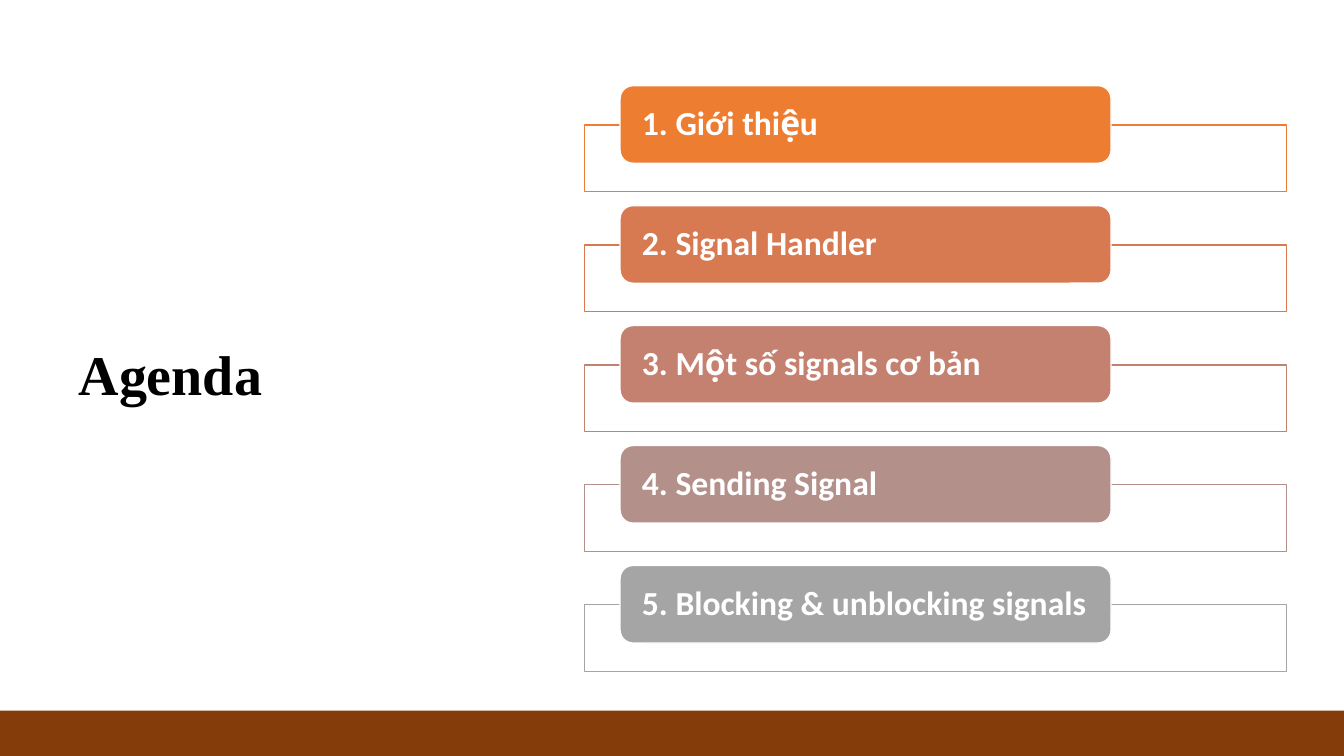
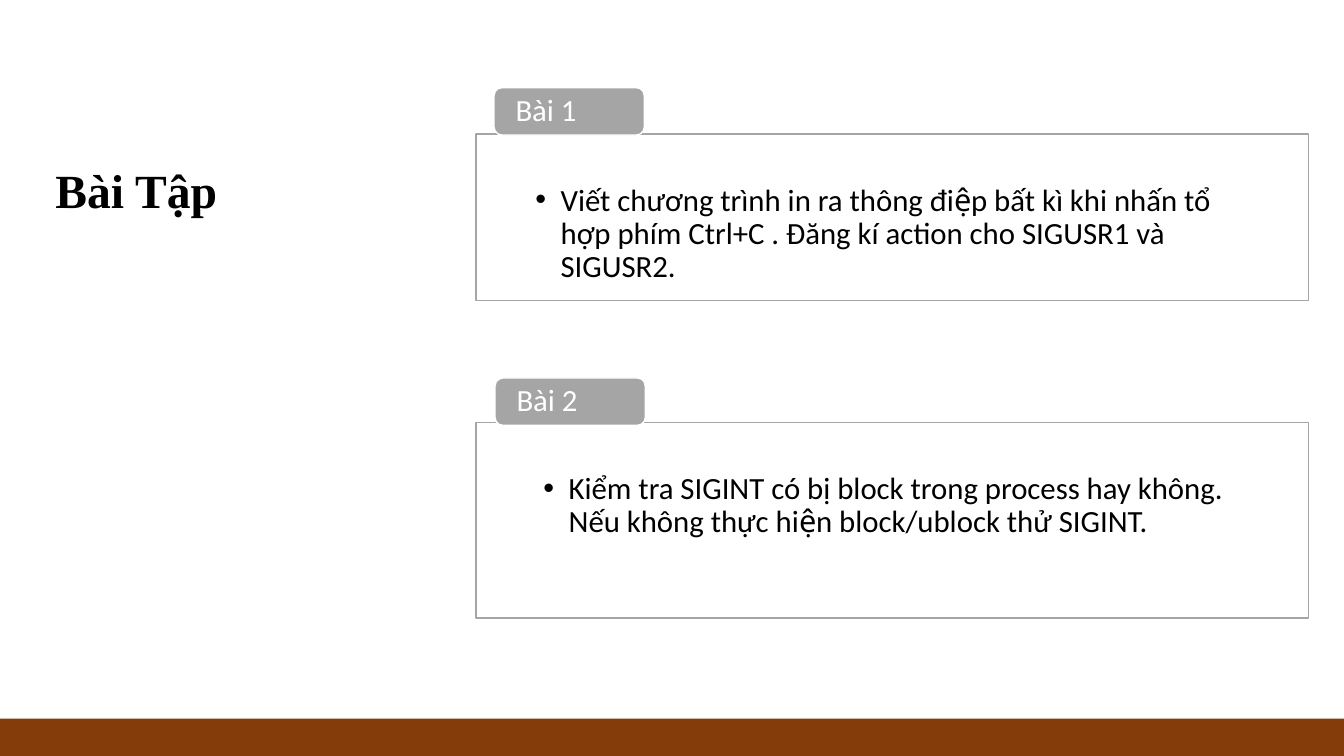
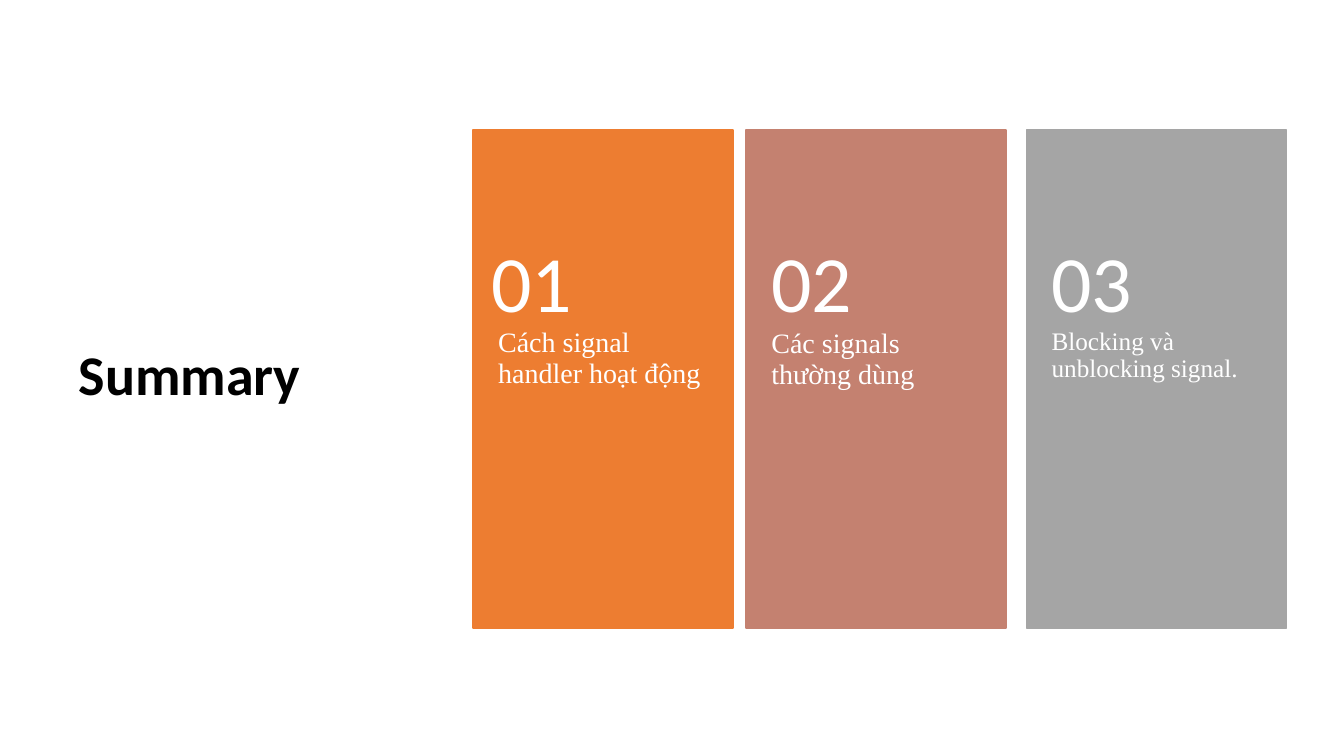
from lxml import etree
from pptx import Presentation
from pptx.dml.color import RGBColor
from pptx.enum.shapes import MSO_SHAPE
from pptx.enum.text import MSO_ANCHOR, MSO_AUTO_SIZE, PP_ALIGN
from pptx.oxml.ns import qn
from pptx.util import Inches, Pt

RECT, ROUND = MSO_SHAPE.RECTANGLE, MSO_SHAPE.ROUNDED_RECTANGLE
TOP, MIDDLE, BOTTOM = MSO_ANCHOR.TOP, MSO_ANCHOR.MIDDLE, MSO_ANCHOR.BOTTOM
LEFT, FIXED = PP_ALIGN.LEFT, MSO_AUTO_SIZE.NONE
TWO_PART, TITLE_ONLY = 3, 5

WHITE, BLACK = RGBColor(255, 255, 255), RGBColor(0, 0, 0)
BROWN = RGBColor(0x84, 0x3C, 0x0B)
ORANGE = RGBColor(0xED, 0x7D, 0x31)
CORAL = RGBColor(0xD8, 0x7A, 0x51)
ROSE = RGBColor(0xC4, 0x81, 0x70)
MAUVE = RGBColor(0xB4, 0x90, 0x8B)
GREY = RGBColor(0xA5, 0xA5, 0xA5)
SANS, SERIF = "Calibri", "Times New Roman"
WIDE, HIGH = 13.33, 7.5
SIDE = (0.68, 1.27, 3.94, 4.95)

# Vietnamese tones are stored as marks after their vowel.
TONES = [
    ("\u0301", "áấếíóốớ", "aâêioôơ"),
    ("\u0300", "àìùờ", "aiuơ"),
    ("\u0309", "ảểổử", "aêôư"),
    ("\u0323", "ạậệịộợự", "aâêiôơư"),
]
MARKS = {ord(full): vowel + mark for mark, fulls, vowels in TONES
         for full, vowel in zip(fulls, vowels)}

AGENDA = [
    ("1. Giới thiệu", ORANGE),
    ("2. Signal Handler", CORAL),
    ("3. Một số signals cơ bản", ROSE),
    ("4. Sending Signal", MAUVE),
    ("5. Blocking & unblocking signals", GREY),
]
# label, task, frame top, frame height, label left, label top, task left
TASKS = [
    ("Bài 1", "Viết chương trình in ra thông điệp bất kì khi nhấn "
     "tổ hợp phím Ctrl+C . Đăng kí action cho SIGUSR1 và SIGUSR2.",
     1.33, 1.65, 4.9, 0.87, 4.72),
    ("Bài 2", "Kiểm tra SIGINT có bị block trong process hay không. "
     "Nếu không thực hiện block/ublock thử SIGINT.",
     4.19, 1.94, 4.91, 3.75, 4.8),
]
# number, caption, caption size, caption top, fill, card left, number left
CARDS = [
    ("01", "Cách signal handler hoạt động", 20, 3.26, ORANGE, 4.69, 4.62),
    ("02", "Các signals thường dùng", 20, 3.27, ROSE, 7.4, 7.4),
    ("03", "Blocking và unblocking signal.", 18, 3.26, GREY, 10.18, 10.18),
]


def write(shape, text, size, font=SANS, color=WHITE, bold=False,
          anchor=MIDDLE, pad=(0.1, 0.05, 0.1, 0.05), after=0):
    """Put one formatted run in a shape and return its paragraph."""
    frame = shape.text_frame
    frame.word_wrap, frame.auto_size = True, FIXED
    frame.vertical_anchor = anchor
    (frame.margin_left, frame.margin_top, frame.margin_right,
     frame.margin_bottom) = map(Inches, pad)
    para = frame.paragraphs[0]
    para.alignment, para.line_spacing = LEFT, 0.9
    para.space_before, para.space_after = Pt(0), Pt(after)
    run = para.add_run()
    run.text = text.translate(MARKS)
    run.font.size, run.font.name, run.font.bold = Pt(size), font, bold
    run.font.color.rgb = color
    return para


def place(shape, box):
    """Move a placeholder to a box in inches."""
    shape.left, shape.top, shape.width, shape.height = map(Inches, box)


def block(slide, kind, box, fill, line=None):
    """Add a flat shape with an optional outline."""
    shape = slide.shapes.add_shape(kind, *map(Inches, box))
    shape.shadow.inherit = False
    shape.fill.solid()
    shape.fill.fore_color.rgb = fill
    if line is None:
        shape.line.fill.background()
    else:
        shape.line.color.rgb, shape.line.width = line, Pt(1)
    return shape


def panel(slide, box, line):
    """Add an outlined frame with a slightly clear white fill."""
    shape = block(slide, RECT, box, WHITE, line)
    tint = shape.element.spPr.find(qn("a:solidFill") + "/" + qn("a:srgbClr"))
    etree.SubElement(tint, qn("a:alpha")).set("val", "90000")
    return shape


def note(slide, box, text, size, **style):
    """Add a text box."""
    write(slide.shapes.add_textbox(*map(Inches, box)), text, size, **style)


def start(deck, layout, title, size, font, box=SIDE, anchor=MIDDLE):
    """Add a slide with a bold black title at the left."""
    slide = deck.slides.add_slide(deck.slide_layouts[layout])
    head = slide.shapes.title
    place(head, box)
    write(head, title, size, font, BLACK, True, anchor, after=6)
    return slide


def band(slide, top):
    """Add the brown strip along the foot."""
    block(slide, RECT, (0, top, WIDE, 0.47), BROWN)


def bullet(para):
    """Give a paragraph a hanging round bullet."""
    props = para._p.get_or_add_pPr()
    props.set("marL", str(Inches(0.25)))
    props.set("indent", str(Inches(-0.25)))
    etree.SubElement(props, qn("a:buFont")).set("typeface", "Arial")
    etree.SubElement(props, qn("a:buChar")).set("char", "•")


def agenda(deck):
    """Build the list of topics."""
    slide = start(deck, TITLE_ONLY, "Agenda", 40, SERIF)
    band(slide, 7.05)
    for row, (text, color) in enumerate(AGENDA):
        top = 0.85 + 1.19 * row
        panel(slide, (5.8, top + 0.39, 6.96, 0.66), color)
        label = block(slide, ROUND, (6.15, top, 4.87, 0.77), color, WHITE)
        write(label, text, 24, bold=True, pad=(0.18, 0, 0.15, 0))


def tasks(deck):
    """Build the two exercises."""
    slide = start(deck, TWO_PART, "Bài Tập", 34, SERIF,
                  (0.45, 1.03, 4.86, 1.19), BOTTOM)
    band(slide, 7.13)
    bodies = list(slide.placeholders)[1:3]
    for body, task in zip(bodies, TASKS):
        name, text, top, high, tab, peak, left = task
        frame = panel(slide, (4.72, top, 8.26, high), GREY)
        place(body, (left, top, 8.18, high))
        bullet(write(body, text, 22, color=BLACK, anchor=TOP,
                     pad=(0.59, 0.5, 0.59, 0.17)))
        frame.element.addnext(body.element)
        label = block(slide, ROUND, (tab, peak, 1.49, 0.47), GREY, WHITE)
        write(label, name, 22, pad=(0.19, 0, 0.19, 0))


def cards(deck):
    """Build the three summary cards."""
    slide = start(deck, TITLE_ONLY, "Summary", 40, SANS)
    for number, text, size, top, color, left, shift in CARDS:
        block(slide, RECT, (left, 1.29, 2.58, 4.94), color, color)
        note(slide, (left, top, 2.58, 2.96), text, size, font=SERIF,
             anchor=TOP, pad=(0.25, 0, 0.25, 0.36))
        note(slide, (shift, 2.22, 2.58, 1.24), number, 57,
             pad=(0.25, 0.18, 0.25, 0.18))


deck = Presentation()
deck.slide_width, deck.slide_height = Inches(WIDE), Inches(HIGH)
for build in (agenda, tasks, cards):
    build(deck)
deck.save("out.pptx")
